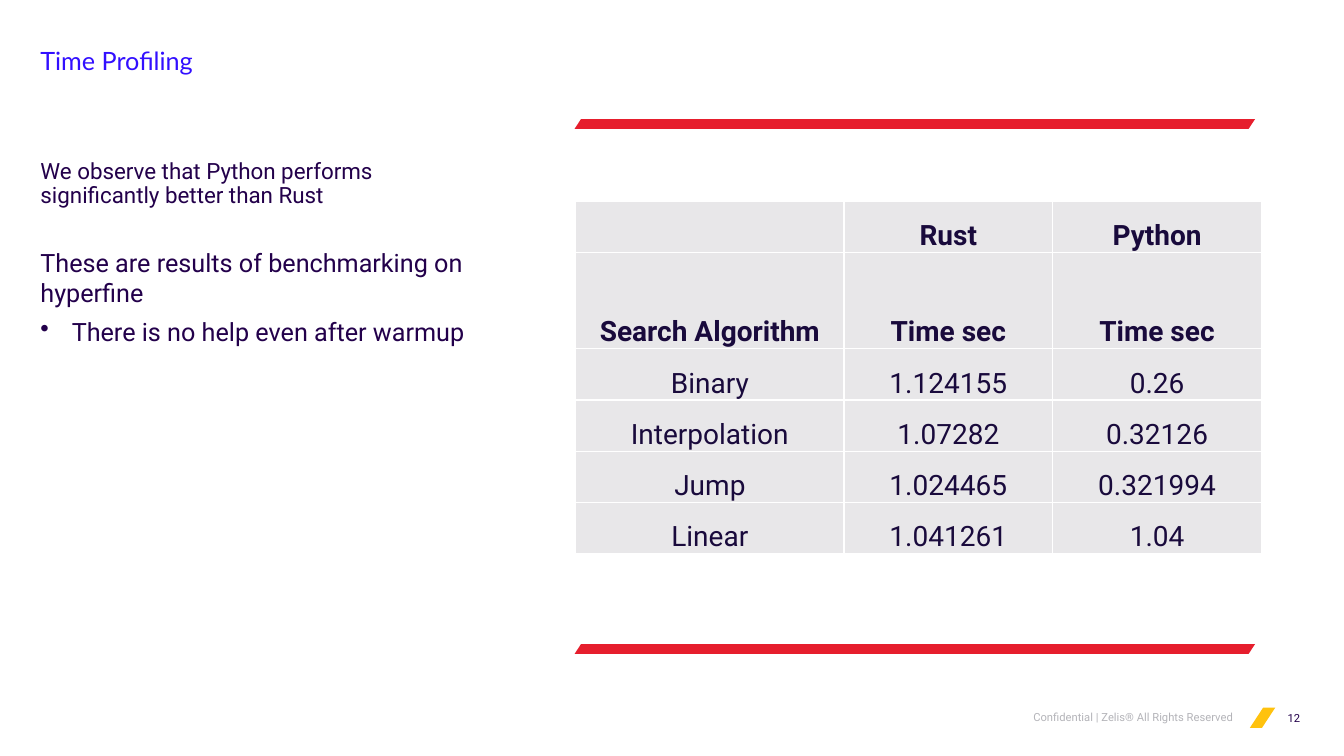
from dataclasses import dataclass

import pptx
import pptx.dml.color
import pptx.enum.shapes
import pptx.enum.text
import pptx.oxml
import pptx.oxml.ns
import pptx.util
from pptx.util import Cm

ALIGN = pptx.enum.text.PP_ALIGN
ANCHOR = pptx.enum.text.MSO_ANCHOR


@dataclass(frozen=True)
class Theme:
    text: str = "23004B"
    heading: str = "320FFF"
    table_text: str = "190A3C"
    cell: str = "E8E7E9"
    cell_border: str = "FFFFFF"
    red: str = "E61E2D"
    yellow: str = "FFC20E"
    muted: str = "B4B4B9"
    font: str = "Roboto"
    heading_font: str = "Lato"
    small: int = 8
    title: int = 16
    body: int = 18
    table: int = 20


@dataclass(frozen=True)
class Box:
    """A region, in centimetres."""
    left: float
    top: float
    width: float
    height: float

    def lengths(self):
        return [Cm(n) for n in (self.left, self.top, self.width, self.height)]


THEME = Theme()
RESULTS = [
    ("", "Rust", "Python"),
    ("Search Algorithm", "Time sec", "Time sec"),
    ("Binary", "1.124155", "0.26"),
    ("Interpolation", "1.07282", "0.32126"),
    ("Jump", "1.024465", "0.321994"),
    ("Linear", "1.041261", "1.04"),
]
HEADER_ROWS = 2


def rgb(color):
    return pptx.dml.color.RGBColor.from_string(color)


def write(paragraph, text, *, size=THEME.body, color=THEME.text, font=THEME.font,
          bold=False, align=ALIGN.LEFT, after=0, spacing=None, bullet_indent=None):
    """Put formatted text into a paragraph."""
    if bullet_indent:
        properties = paragraph._p.get_or_add_pPr()
        properties.set("marL", str(Cm(bullet_indent)))
        properties.set("indent", str(-Cm(bullet_indent)))
        properties.append(pptx.oxml.parse_xml(
            f'<a:buChar {pptx.oxml.ns.nsdecls("a")} char="•"/>'))
    paragraph.alignment = align
    paragraph.space_before = pptx.util.Pt(0)
    paragraph.space_after = pptx.util.Pt(after)
    if spacing:
        paragraph.line_spacing = spacing
    run = paragraph.add_run()
    run.text = text
    run.font.size = pptx.util.Pt(size)
    run.font.name = font
    run.font.bold = bold
    run.font.color.rgb = rgb(color)


def set_frame(frame, anchor=ANCHOR.TOP, inset=0.13):
    frame.word_wrap = True
    frame.auto_size = pptx.enum.text.MSO_AUTO_SIZE.NONE
    frame.vertical_anchor = anchor
    frame.margin_left = frame.margin_right = 0
    frame.margin_top = frame.margin_bottom = Cm(inset)
    return frame


def add_text_frame(slide, box, **layout):
    return set_frame(slide.shapes.add_textbox(*box.lengths()).text_frame, **layout)


def add_slanted_bar(slide, box, color):
    bar = slide.shapes.add_shape(
        pptx.enum.shapes.MSO_SHAPE.PARALLELOGRAM, *box.lengths())
    bar.adjustments[0] = 0.655
    bar.shadow.inherit = False
    bar.fill.solid()
    bar.fill.fore_color.rgb = rgb(color)
    bar.line.fill.background()


def add_footer(slide, box):
    notice = Box(box.left, box.top + 0.33, 5.3, 0.33)
    write(add_text_frame(slide, notice, inset=0).paragraphs[0],
          "Confidential | Zelis® All Rights Reserved",
          size=THEME.small, color=THEME.muted)
    number_left = box.left + box.width - 1.27
    add_slanted_bar(slide, Box(number_left, box.top + 0.25, 0.64, 0.51), THEME.yellow)
    number = Box(number_left, box.top, 1.27, box.height)
    write(add_text_frame(slide, number, anchor=ANCHOR.MIDDLE).paragraphs[0], "12",
          size=THEME.small, align=ALIGN.RIGHT)


def add_observations(slide, box):
    # Section heading
    heading = Box(box.left, box.top, 16.51, 1.02)
    write(add_text_frame(slide, heading).paragraphs[0], "Time Profiling",
          color=THEME.heading, font=THEME.heading_font)

    # Title
    title = slide.shapes.title
    title.left, title.top, title.width, title.height = Box(
        box.left, box.top + 1.78, box.width, 2.59).lengths()
    write(set_frame(title.text_frame, anchor=ANCHOR.BOTTOM).paragraphs[0],
          "We observe that Python performs significantly better than Rust",
          size=THEME.title, spacing=0.9)

    # Benchmark remarks
    remarks = add_text_frame(
        slide, Box(box.left, box.top + 5.08, box.width, box.height - 5.08))
    write(remarks.paragraphs[0],
          "These are results of benchmarking on hyperfine", after=6)
    write(remarks.add_paragraph(), "There is no help even after warmup",
          after=6, bullet_indent=0.79)


def format_cell(cell, text, bold):
    cell.fill.solid()
    cell.fill.fore_color.rgb = rgb(THEME.cell)
    cell.vertical_anchor = ANCHOR.BOTTOM
    cell.margin_left = cell.margin_right = cell.margin_top = Cm(0.03)
    cell.margin_bottom = 0
    properties = cell._tc.get_or_add_tcPr()
    for position, side in enumerate(("lnL", "lnR", "lnT", "lnB")):
        properties.insert(position, pptx.oxml.parse_xml(
            f'<a:{side} {pptx.oxml.ns.nsdecls("a")} w="{pptx.util.Pt(1)}"><a:solidFill>'
            f'<a:srgbClr val="{THEME.cell_border}"/></a:solidFill></a:{side}>'))
    if text:
        write(cell.text_frame.paragraphs[0], text, size=THEME.table,
              color=THEME.table_text, bold=bold, align=ALIGN.CENTER)


def add_results(slide, box):
    # Red bars above and below
    bar_height = 0.25
    for top in (box.top, box.top + box.height - bar_height):
        add_slanted_bar(slide, Box(box.left, top, box.width, bar_height), THEME.red)

    # Benchmark table
    area = Box(box.left + 0.03, box.top + 2.08, 17.28, 8.88)
    table = slide.shapes.add_table(
        len(RESULTS), len(RESULTS[0]), *area.lengths()).table
    table.first_row = table.horz_banding = False
    for column, width in zip(table.columns, (6.76, 5.26, 5.26)):
        column.width = Cm(width)
    for index, (row, values) in enumerate(zip(table.rows, RESULTS)):
        row.height = Cm(2.42 if index == 1 else 1.29)
        for cell, value in zip(row.cells, values):
            format_cell(cell, value, bold=index < HEADER_ROWS)


def main():
    deck = pptx.Presentation()
    deck.slide_width, deck.slide_height = Cm(33.87), Cm(19.05)
    slide = deck.slides.add_slide(deck.slide_layouts[5])
    add_footer(slide, Box(26.04, 17.58, 6.73, 1.02))
    add_observations(slide, Box(1.02, 1.02, 11.43, 15.24))
    add_results(slide, Box(14.48, 3.0, 17.15, 13.48))
    deck.save("out.pptx")


if __name__ == "__main__":
    main()
